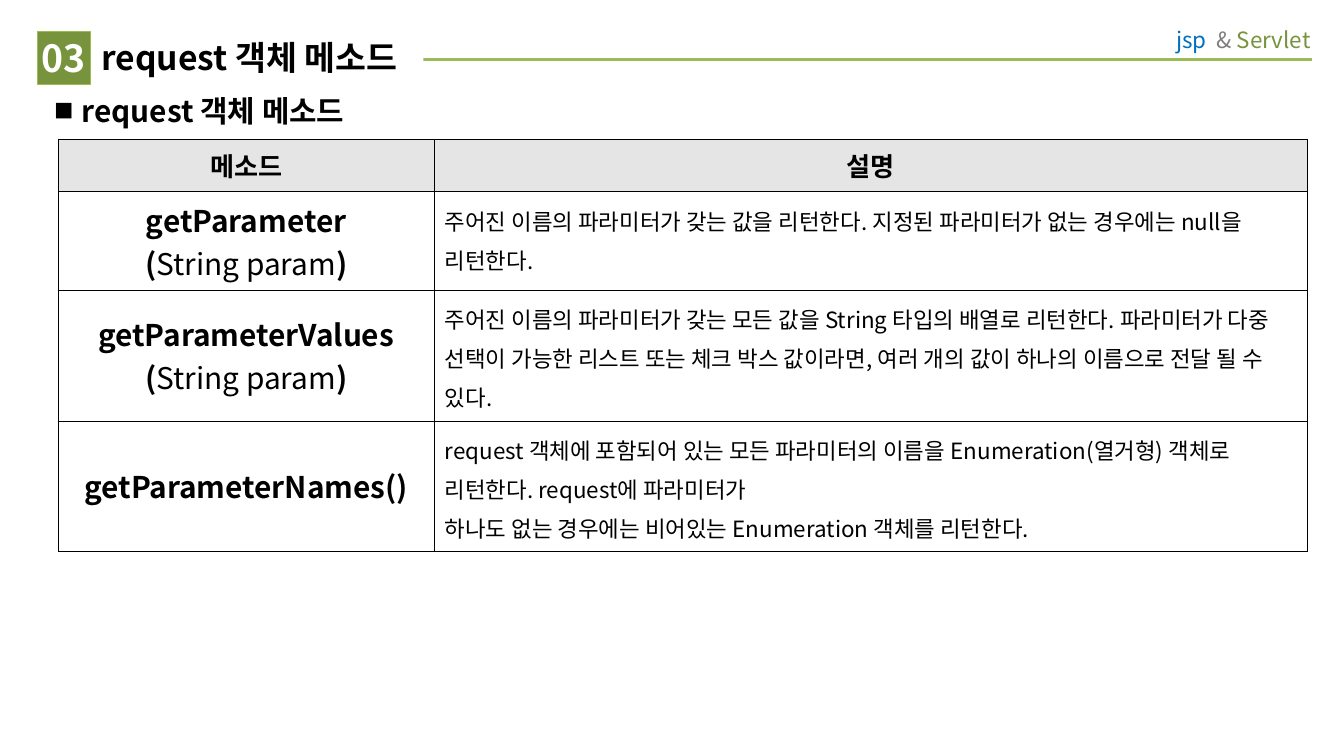
from dataclasses import dataclass

from lxml import etree
from pptx import Presentation
from pptx.dml.color import RGBColor
from pptx.enum.shapes import MSO_CONNECTOR, MSO_SHAPE
from pptx.enum.text import MSO_ANCHOR, PP_ALIGN
from pptx.oxml.ns import qn
from pptx.util import Inches, Pt

LEFT, CENTER, RIGHT = PP_ALIGN.LEFT, PP_ALIGN.CENTER, PP_ALIGN.RIGHT
TOP, MIDDLE = MSO_ANCHOR.TOP, MSO_ANCHOR.MIDDLE
RECTANGLE, STRAIGHT = MSO_SHAPE.RECTANGLE, MSO_CONNECTOR.STRAIGHT

FONT = "Noto Sans CJK KR"
COLORS = {
    "white": "FFFFFF", "black": "000000", "gray": "7F7F7F", "header": "E5E5E5",
    "blue": "0070C0", "green": "77933C", "line": "9BBB59",
}
PAGE_WIDTH = 10
PAGE_HEIGHT = PAGE_WIDTH * 9 / 16
GRID_COLUMNS = 100
UNIT = PAGE_WIDTH / GRID_COLUMNS
TABLE_COLUMNS = (27.95, 65)
TABLE_ROWS = (3.85, 7.35, 9.75, 9.7)


@dataclass(frozen=True)
class Box:
    left: float
    top: float
    width: float
    height: float


@dataclass(frozen=True)
class Span:
    text: str
    size: float
    bold: bool = False
    color: str = "black"


@dataclass(frozen=True)
class Style:
    align: PP_ALIGN = LEFT
    anchor: MSO_ANCHOR = TOP
    insets: tuple = (1, 0.5, 1, 0.5)
    spacing: float = 1
    before: float = 0


@dataclass(frozen=True)
class Method:
    name: str
    parameter: str
    description: str


METHODS = (
    Method("getParameter", "String param",
           "주어진 이름의 파라미터가 갖는 값을 리턴한다. 지정된 파라미터가 없는 경우에는 null을 리턴한다."),
    Method("getParameterValues", "String param",
           "주어진 이름의 파라미터가 갖는 모든 값을 String 타입의 배열로 리턴한다. 파라미터가 "
           "다중 선택이 가능한 리스트 또는 체크 박스 값이라면, 여러 개의 값이 하나의 이름으로 전달 될 수 있다."),
    Method("getParameterNames", "",
           "request 객체에 포함되어 있는 모든 파라미터의 이름을 Enumeration(열거형) 객체로 리턴한다. "
           "request에 파라미터가 \n하나도 없는 경우에는 비어있는 Enumeration 객체를 리턴한다."),
)
HEADER_STYLE = Style(CENTER, MIDDLE)
METHOD_STYLE = Style(CENTER, MIDDLE, (0.8, 0.5, 0.8, 0.5))
DESCRIPTION_STYLE = Style(insets=(0.8, 0.5, 0.8, 0.5), spacing=1.2)


def grid(units: float) -> int:
    return Inches(units * UNIT)


def rgb(color: str) -> RGBColor:
    return RGBColor.from_string(COLORS[color])


def place(box: Box) -> tuple:
    return grid(box.left), grid(box.top), grid(box.width), grid(box.height)


def write(frame, spans: tuple, style: Style) -> None:
    para = frame.paragraphs[0]
    para.alignment = style.align
    para.line_spacing = style.spacing
    para.space_before = Pt(style.before)
    for span in spans:
        for index, line in enumerate(span.text.split("\n")):
            if index:
                para.add_line_break()
            run = para.add_run()
            run.text = line
            run.font.name = FONT
            run.font.size = Pt(span.size)
            run.font.bold = span.bold
            run.font.color.rgb = rgb(span.color)
            run.font._element.set("kern", "0")
            east_asian = etree.SubElement(run.font._element, qn("a:ea"))
            east_asian.set("typeface", FONT)


def set_margins(target, style: Style) -> None:
    left, top, right, bottom = map(grid, style.insets)
    target.margin_left, target.margin_top = left, top
    target.margin_right, target.margin_bottom = right, bottom
    target.vertical_anchor = style.anchor


def add_text(page, box: Box, spans: tuple, style: Style):
    frame = page.shapes.add_textbox(*place(box)).text_frame
    frame.word_wrap = True
    set_margins(frame, style)
    write(frame, spans, style)
    return frame


def add_block(page, box: Box, fill: str, spans: tuple, style: Style):
    block = page.shapes.add_shape(RECTANGLE, *place(box))
    block.shadow.inherit = False
    block.fill.solid()
    block.fill.fore_color.rgb = rgb(fill)
    block.line.fill.background()
    set_margins(block.text_frame, style)
    write(block.text_frame, spans, style)
    return block


def add_rule(page, start: float, end: float, top: float) -> None:
    rule = page.shapes.add_connector(STRAIGHT, grid(start), grid(top), grid(end), grid(top))
    rule.line.color.rgb = rgb("line")
    rule.line.width = Pt(1.5)
    etree.SubElement(rule._element.spPr, qn("a:effectLst"))


def add_bullet(para, symbol: str, indent: float) -> None:
    properties = para._p.get_or_add_pPr()
    properties.set("marL", str(grid(indent)))
    properties.set("indent", str(-grid(indent)))
    color = etree.SubElement(properties, qn("a:buClr"))
    etree.SubElement(color, qn("a:srgbClr")).set("val", COLORS["black"])
    etree.SubElement(properties, qn("a:buSzPct")).set("val", "65000")
    etree.SubElement(properties, qn("a:buFont")).set("typeface", FONT)
    etree.SubElement(properties, qn("a:buChar")).set("char", symbol)


def add_borders(cell, outer: dict) -> None:
    properties = cell._tc.get_or_add_tcPr()
    for index, side in enumerate(("lnL", "lnR", "lnT", "lnB")):
        border = etree.Element(qn(f"a:{side}"))
        border.set("w", str(Pt(0.45 if outer[side] else 0.34)))
        fill = etree.SubElement(border, qn("a:solidFill"))
        etree.SubElement(fill, qn("a:srgbClr")).set("val", COLORS["black"])
        properties.insert(index, border)


def method_spans(method: Method) -> tuple:
    if not method.parameter:
        return (Span(f"{method.name}()", 16, True),)
    return (Span(f"{method.name}\n(", 16, True), Span(method.parameter, 16),
            Span(")", 16, True))


def add_method_table(page, left: float, top: float) -> None:
    box = Box(left, top, sum(TABLE_COLUMNS), sum(TABLE_ROWS))
    table = page.shapes.add_table(len(TABLE_ROWS), len(TABLE_COLUMNS), *place(box)).table
    for column, width in zip(table.columns, TABLE_COLUMNS):
        column.width = grid(width)
    for row, height in zip(table.rows, TABLE_ROWS):
        row.height = grid(height)
    contents = [[(Span(title, 14, True),) for title in ("메소드", "설명")]]
    contents += [[method_spans(method), (Span(method.description, 12),)] for method in METHODS]
    for row, row_spans in enumerate(contents):
        styles = (METHOD_STYLE, DESCRIPTION_STYLE) if row else (HEADER_STYLE, HEADER_STYLE)
        for column, (spans, style) in enumerate(zip(row_spans, styles)):
            cell = table.cell(row, column)
            cell.fill.solid()
            cell.fill.fore_color.rgb = rgb("white" if row else "header")
            set_margins(cell, style)
            write(cell.text_frame, spans, style)
            add_borders(cell, {
                "lnL": column == 0, "lnR": column == len(TABLE_COLUMNS) - 1,
                "lnT": row == 0, "lnB": row == len(TABLE_ROWS) - 1,
            })


def main() -> None:
    deck = Presentation()
    deck.slide_width, deck.slide_height = Inches(PAGE_WIDTH), Inches(PAGE_HEIGHT)
    page = deck.slides.add_slide(deck.slide_layouts[6])
    heading = "request 객체 메소드"
    add_rule(page, 97.6, 7.1, 4.4)
    course = (Span("jsp  ", 12, color="blue"), Span("& ", 12, color="gray"),
              Span("Servlet", 12, color="green"))
    add_text(page, Box(83.1, 1.15, 15.4, 3.6), course, Style(RIGHT, insets=(1, 0.8, 1, 0.8)))
    add_block(page, Box(6.8, 2.3, 24.7, 3.9), "white", (Span(heading, 18, True),),
              Style(LEFT, MIDDLE, (0.75, 0.4, 0, 0.4)))
    number = add_block(page, Box(2.8, 2.35, 3.9, 3.9), "green",
                       (Span("03", 20, True, "white"),), Style(CENTER, MIDDLE, (0, 0, 0, 0)))
    number.line.color.rgb = rgb("line")
    number.line.width = Pt(0.25)
    add_method_table(page, 4.35, 10.37)
    subtitle = add_text(page, Box(3.1, 6.4, 86.2, 4.4), (Span(heading, 16, True),),
                        Style(before=4))
    add_bullet(subtitle.paragraphs[0], "■", 2)
    deck.save("out.pptx")


if __name__ == "__main__":
    main()
